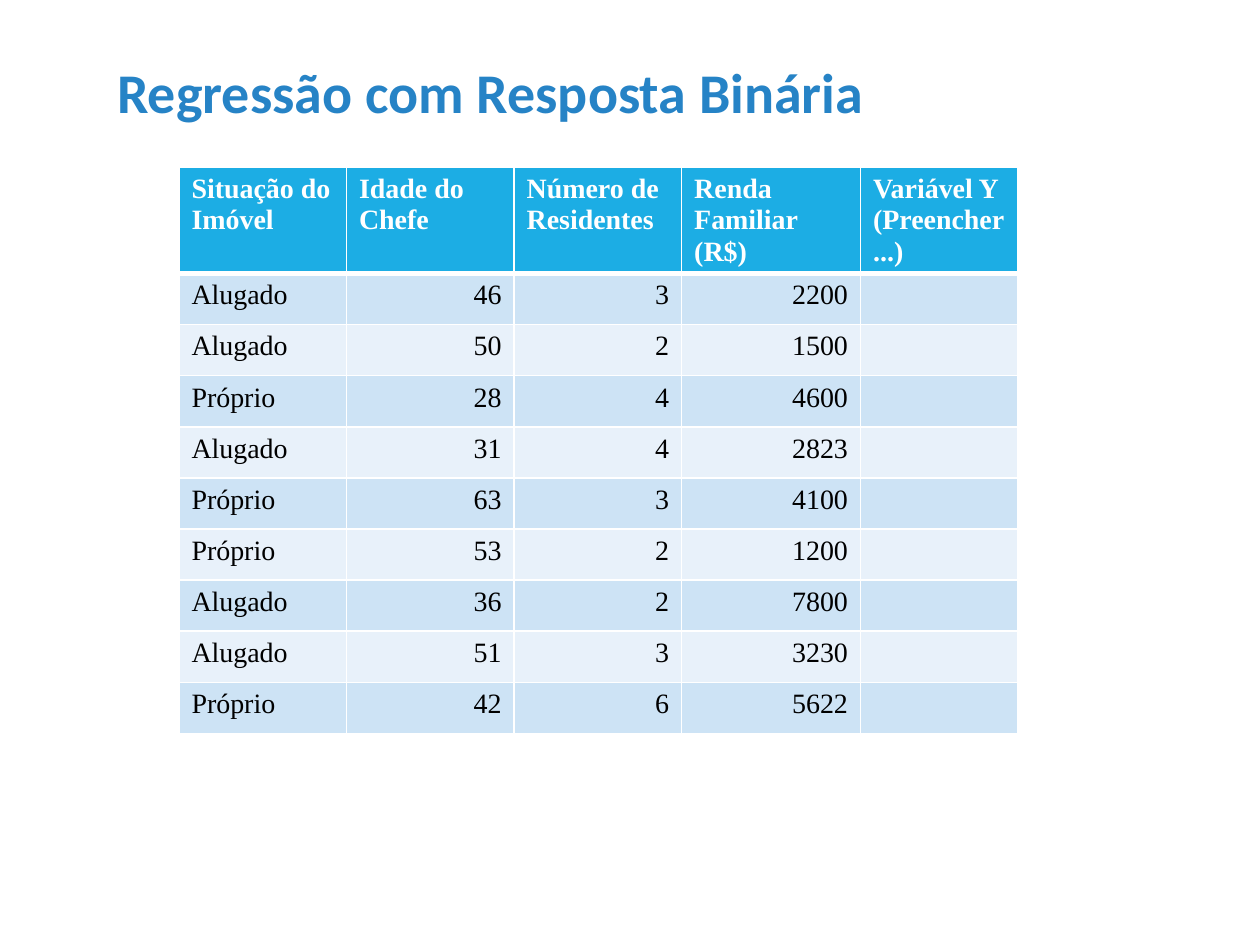
from lxml import etree
from pptx import Presentation
from pptx import util as u
from pptx.dml.color import RGBColor
from pptx.enum import text
from pptx.oxml import ns

TITLE_BLUE = RGBColor(0x26, 0x83, 0xC6)
HEADER_BLUE = RGBColor(0x1C, 0xAD, 0xE4)
BANDS = (RGBColor(0xCD, 0xE3, 0xF5), RGBColor(0xE8, 0xF1, 0xFA))
WHITE = RGBColor(0xFF, 0xFF, 0xFF)
BLACK = RGBColor(0, 0, 0)

TITLE = "Regressão com Resposta Binária"
HEADERS = ("Situação do Imóvel", "Idade do Chefe", "Número de Residentes",
           "Renda Familiar (R$)", "Variável Y\n(Preencher ...)")
HOUSEHOLDS = (
    ("Alugado", 46, 3, 2200),
    ("Alugado", 50, 2, 1500),
    ("Próprio", 28, 4, 4600),
    ("Alugado", 31, 4, 2823),
    ("Próprio", 63, 3, 4100),
    ("Próprio", 53, 2, 1200),
    ("Alugado", 36, 2, 7800),
    ("Alugado", 51, 3, 3230),
    ("Próprio", 42, 6, 5622),
)
COLUMN_WIDTHS = (1.33, 1.33, 1.33, 1.42, 1.25)
HEADER_HEIGHT, ROW_HEIGHT = 0.83, 0.405


def add_run(paragraph, words, font_name, size, color, bold):
    run = paragraph.add_run()
    run.text = words
    run.font.name = font_name
    run.font.size = u.Pt(size)
    run.font.bold = bold
    run.font.color.rgb = color


def add_title(slide):
    title = slide.shapes.title
    title.left, title.top = u.Inches(0.83), u.Inches(0.5)
    title.width, title.height = u.Inches(6.47), u.Inches(0.51)
    frame = title.text_frame
    frame.word_wrap = True
    frame.auto_size = text.MSO_AUTO_SIZE.NONE
    frame.vertical_anchor = text.MSO_ANCHOR.MIDDLE
    heading = frame.paragraphs[0]
    heading.alignment = text.PP_ALIGN.LEFT
    heading.line_spacing = 0.9
    add_run(heading, TITLE, "Calibri", 32, TITLE_BLUE, True)


def set_borders(cell, **widths):
    """Draw white borders; widths are points by side: L, R, T, B."""
    properties = cell._tc.get_or_add_tcPr()
    for side, width in widths.items():
        line = etree.SubElement(properties, ns.qn(f"a:ln{side}"), w=str(u.Pt(width)))
        fill = etree.SubElement(line, ns.qn("a:solidFill"))
        etree.SubElement(fill, ns.qn("a:srgbClr"), val=str(WHITE))


def fill_cell(cell, value, background, color, bold=False):
    cell.fill.solid()
    cell.fill.fore_color.rgb = background
    if value is None:
        return
    frame = cell.text_frame
    for index, words in enumerate(str(value).split("\n")):
        paragraph = frame.add_paragraph() if index else frame.paragraphs[0]
        if isinstance(value, int):
            paragraph.alignment = text.PP_ALIGN.RIGHT
        add_run(paragraph, words, "Times New Roman", 16, color, bold)


def add_household_table(slide):
    height = HEADER_HEIGHT + ROW_HEIGHT * len(HOUSEHOLDS)
    table = slide.shapes.add_table(
        len(HOUSEHOLDS) + 1, len(HEADERS), u.Inches(1.42), u.Inches(1.33),
        u.Inches(sum(COLUMN_WIDTHS)), u.Inches(height)).table
    for column, width in zip(table.columns, COLUMN_WIDTHS):
        column.width = u.Inches(width)
    for index, row in enumerate(table.rows):
        row.height = u.Inches(ROW_HEIGHT if index else HEADER_HEIGHT)

    for column, label in enumerate(HEADERS):
        cell = table.cell(0, column)
        set_borders(cell, L=1, R=1, T=1, B=3)
        fill_cell(cell, label, HEADER_BLUE, WHITE, bold=True)
    for row, household in enumerate(HOUSEHOLDS, start=1):
        for column, value in enumerate((*household, None)):
            cell = table.cell(row, column)
            set_borders(cell, L=1, R=1, T=3 if row == 1 else 1, B=1)
            fill_cell(cell, value, BANDS[(row - 1) % 2], BLACK)


def main():
    deck = Presentation()
    deck.slide_width, deck.slide_height = u.Inches(10), u.Inches(7.5)
    slide = deck.slides.add_slide(deck.slide_layouts.get_by_name("Title Only"))
    add_title(slide)
    add_household_table(slide)
    deck.save("out.pptx")


if __name__ == "__main__":
    main()
